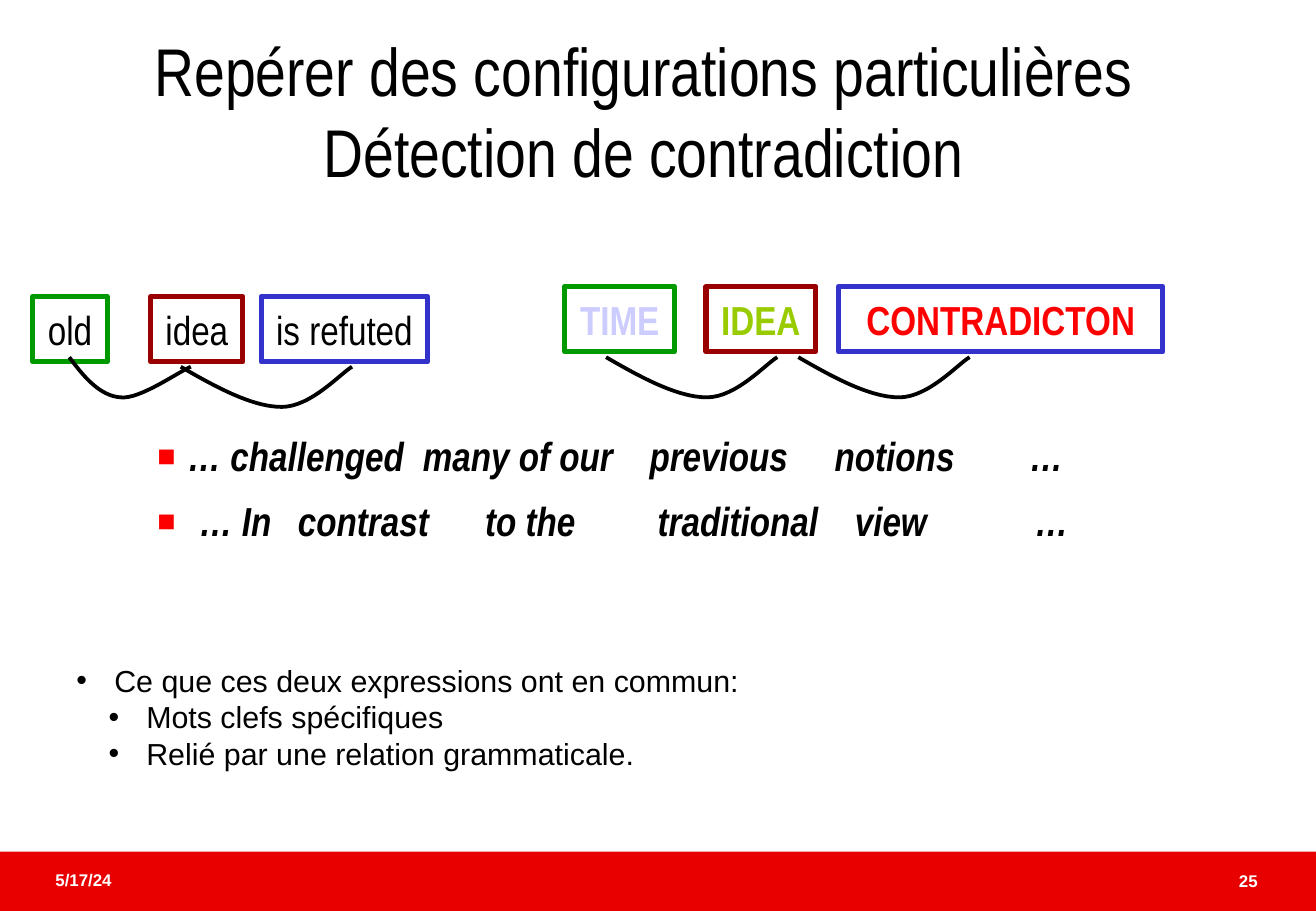
"""Build a slide on detecting contradictions through word patterns."""
from dataclasses import dataclass

from lxml import etree
from pptx import Presentation
from pptx import util as u
from pptx.dml.color import RGBColor
from pptx.enum import shapes, text
from pptx.oxml.ns import qn

BLACK = RGBColor(0x00, 0x00, 0x00)
WHITE = RGBColor(0xFF, 0xFF, 0xFF)
BAND_RED = RGBColor(0xE8, 0x00, 0x00)
BULLET_RED = RGBColor(0xFC, 0x00, 0x00)
RED = RGBColor(0xFF, 0x00, 0x00)
GREEN = RGBColor(0x00, 0x99, 0x00)
MAROON = RGBColor(0x99, 0x00, 0x00)
BLUE = RGBColor(0x33, 0x33, 0xCC)
LAVENDER = RGBColor(0xCC, 0xCC, 0xFF)
LIME = RGBColor(0x99, 0xCC, 0x00)
NARROW = "Arial Narrow"
SANS = "Arial"


@dataclass(frozen=True)
class Style:
    font: str
    size: float
    color: RGBColor = BLACK
    bold: bool = False
    italic: bool = False


@dataclass(frozen=True)
class Bullet:
    char: str
    margin: float
    hanging: float
    color: RGBColor = BLACK
    percent: int = 100


@dataclass(frozen=True)
class Line:
    words: str
    bullet: Bullet | None = None
    tabs: tuple[float, ...] = ()
    align: text.PP_ALIGN = text.PP_ALIGN.LEFT
    spacing: float = 1.0
    before: float = 0


@dataclass(frozen=True)
class Concept:
    word: str
    left: float
    top: float
    width: float
    border: RGBColor
    color: RGBColor = BLACK
    bold: bool = False


@dataclass(frozen=True)
class Link:
    left: float
    top: float
    bends: tuple[tuple[float, float], ...]


WIDE = ((0.74, 0.43), (1.5, 0.84), (2.11, 0.84), (2.72, 0.84), (3.35, 0.13), (3.58, 0))
SHORT = ((0.3, 0.41), (0.64, 0.81), (1.07, 0.84), (1.47, 0.89), (2.29, 0.3), (2.54, 0.2))
CONCEPTS = (
    Concept("old", 0.69, 6.2, 1.55, GREEN),
    Concept("is refuted", 5.46, 6.2, 3.48, BLUE),
    Concept("idea", 3.15, 6.2, 1.93, MAROON),
    Concept("TIME", 11.81, 5.99, 2.29, GREEN, LAVENDER, True),
    Concept("IDEA", 14.76, 5.99, 2.29, MAROON, LIME, True),
    Concept("CONTRADICTON", 17.53, 5.99, 6.78, BLUE, RED, True),
)
LINKS = (
    Link(1.45, 7.47, SHORT),
    Link(3.78, 7.67, WIDE),
    Link(12.67, 7.47, WIDE),
    Link(16.69, 7.47, WIDE),
)
QUOTE_BULLET = Bullet("■", 1.57, 0.64, BULLET_RED, 75)
LATE_QUOTE_BULLET = Bullet("■", 1.81, 0.88, BULLET_RED, 75)
QUOTES = (
    Line("… challenged\tmany of our\tprevious\tnotions\t…", QUOTE_BULLET,
         (6.48, 11.22, 15.09, 19.17), spacing=1.2, before=4),
    Line("… In\tcontrast\tto the\ttraditional\tview\t…", LATE_QUOTE_BULLET,
         (3.87, 7.78, 11.39, 15.51, 19.75), spacing=1.2, before=4),
)
SHARED_TRAITS = (
    Line("Ce que ces deux expressions ont en commun:", Bullet("•", 0.79, 0.79)),
    Line("Mots clefs spécifiques", Bullet("•", 1.46, 0.79)),
    Line("Relié par une relation grammaticale.", Bullet("•", 1.46, 0.79)),
)


def add_bullet(paragraph, bullet: Bullet, tabs: tuple[float, ...]) -> None:
    props = paragraph._p.get_or_add_pPr()
    props.set("marL", str(u.Cm(bullet.margin)))
    props.set("indent", str(-u.Cm(bullet.hanging)))
    color = etree.SubElement(props, qn("a:buClr"))
    etree.SubElement(color, qn("a:srgbClr"), val=str(bullet.color))
    etree.SubElement(props, qn("a:buSzPct"), val=str(bullet.percent * 1000))
    etree.SubElement(props, qn("a:buFont"), typeface=SANS)
    etree.SubElement(props, qn("a:buChar"), char=bullet.char)
    if tabs:
        stops = etree.SubElement(props, qn("a:tabLst"))
        for tab in tabs:
            etree.SubElement(stops, qn("a:tab"), pos=str(u.Cm(tab)), algn="l")


def write(frame, lines: tuple[Line, ...], style: Style) -> None:
    for index, line in enumerate(lines):
        paragraph = frame.paragraphs[0] if index == 0 else frame.add_paragraph()
        paragraph.text = line.words
        paragraph.alignment = line.align
        if line.bullet:
            add_bullet(paragraph, line.bullet, line.tabs)
        paragraph.line_spacing = line.spacing
        paragraph.space_before = u.Pt(line.before)
        font = paragraph.font
        font.name, font.size = style.font, u.Pt(style.size)
        font.bold, font.italic = style.bold, style.italic
        font.color.rgb = style.color


def add_text(slide, left: float, top: float, width: float, height: float,
             lines: tuple[Line, ...], style: Style,
             anchor: text.MSO_ANCHOR = text.MSO_ANCHOR.TOP) -> None:
    frame = slide.shapes.add_textbox(*map(u.Cm, (left, top, width, height))).text_frame
    frame.word_wrap = True
    frame.vertical_anchor = anchor
    write(frame, lines, style)


def add_concept(slide, concept: Concept) -> None:
    box = slide.shapes.add_shape(
        shapes.MSO_SHAPE.RECTANGLE,
        *map(u.Cm, (concept.left, concept.top, concept.width, 1.37)))
    box.shadow.inherit = False
    box.fill.background()
    box.line.color.rgb = concept.border
    box.line.width = u.Pt(3)
    box.text_frame.word_wrap = False
    write(box.text_frame, (Line(concept.word, align=text.PP_ALIGN.CENTER),),
          Style(NARROW, 24, concept.color, concept.bold))


def add_link(slide, link: Link) -> None:
    builder = slide.shapes.build_freeform(u.Cm(link.left), u.Cm(link.top))
    builder.add_line_segments(
        [(u.Cm(link.left + x), u.Cm(link.top + y)) for x, y in link.bends], close=False)
    curve = builder.convert_to_shape()
    curve.shadow.inherit = False
    curve.fill.background()
    curve.line.color.rgb = BLACK
    curve.line.width = u.Pt(2.25)
    segments = list(curve._element.iter(qn("a:lnTo")))
    outline = segments[0].getparent()
    for start in range(0, len(segments), 3):
        bezier = etree.SubElement(outline, qn("a:cubicBezTo"))
        for segment in segments[start:start + 3]:
            bezier.append(segment[0])
            outline.remove(segment)


def main() -> None:
    deck = Presentation()
    deck.slide_width, deck.slide_height = u.Cm(27.51), u.Cm(19.05)
    slide = deck.slides.add_slide(deck.slide_layouts[6])

    band = slide.shapes.add_shape(
        shapes.MSO_SHAPE.RECTANGLE, 0, u.Cm(17.81), deck.slide_width, u.Cm(1.24))
    band.shadow.inherit = False
    band.fill.solid()
    band.fill.fore_color.rgb = BAND_RED
    band.line.fill.background()

    footer = Style(SANS, 10, WHITE, bold=True)
    add_text(slide, 0.91, 18.06, 5.74, 1.27, (Line("5/17/24"),), footer)
    add_text(slide, 20.8, 18.08, 5.74, 1.27,
             (Line("25", align=text.PP_ALIGN.RIGHT),), footer)
    title = Line("Repérer des configurations particulières\vDétection de contradiction",
                 align=text.PP_ALIGN.CENTER)
    add_text(slide, 1.75, 0.71, 23.39, 3.18, (title,), Style(NARROW, 40),
             text.MSO_ANCHOR.MIDDLE)
    add_text(slide, 2.11, 8.69, 21.59, 5, QUOTES,
             Style(NARROW, 24, bold=True, italic=True))
    for concept in CONCEPTS:
        add_concept(slide, concept)
    for link in LINKS:
        add_link(slide, link)
    add_text(slide, 1.35, 13.72, 21.62, 3.68, SHARED_TRAITS, Style(SANS, 18))
    deck.save("out.pptx")


if __name__ == "__main__":
    main()
